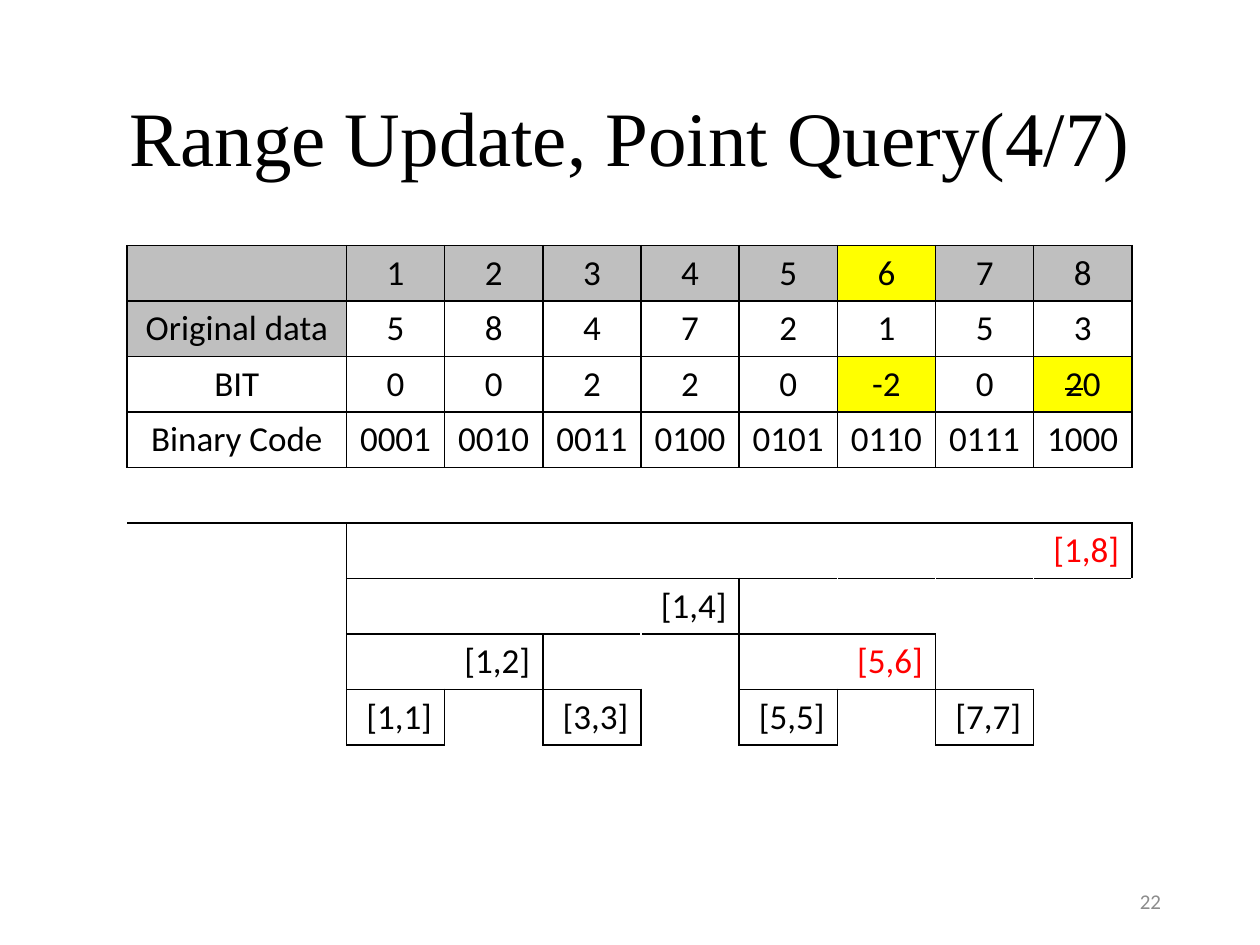
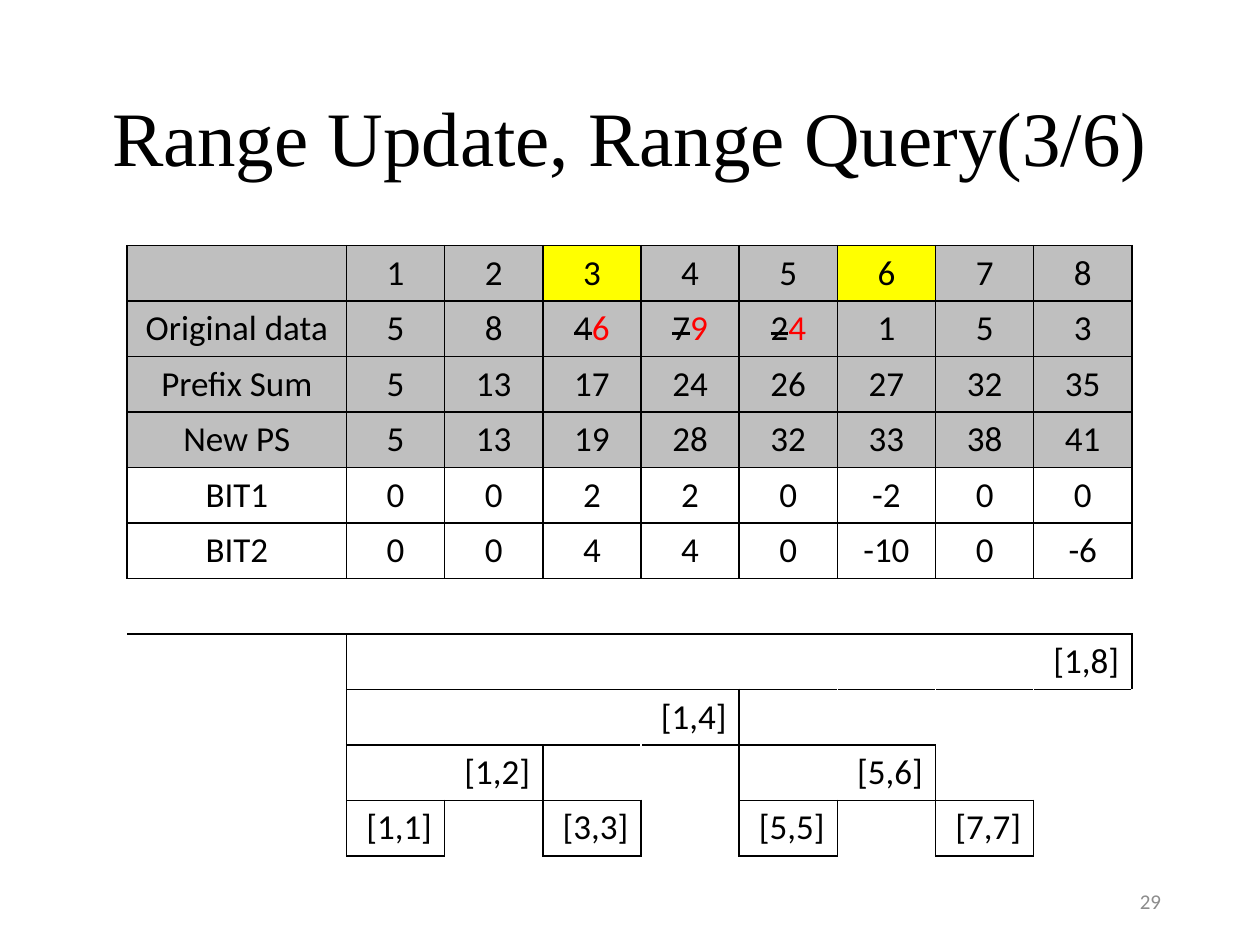
from lxml import etree
from pptx import Presentation
from pptx.dml.color import RGBColor
from pptx.enum.text import MSO_ANCHOR, MSO_AUTO_SIZE, PP_ALIGN
from pptx.oxml.ns import qn
from pptx.util import Pt

MIDDLE = MSO_ANCHOR.MIDDLE
CENTER, RIGHT = PP_ALIGN.CENTER, PP_ALIGN.RIGHT
NO_AUTOFIT = MSO_AUTO_SIZE.NONE

BLACK, WHITE, RED = "000000", "FFFFFF", "FF0000"
GRAY, YELLOW, PAGE_GRAY = "BFBFBF", "FFFF00", "8C8C8C"
TITLE_FONT, BODY_FONT = "Times New Roman", "Calibri"
NO_GRID_STYLE = "{2D5ABB26-0587-4C30-8999-92F81FD0307C}"

# Boxes: left, top, width, height
TITLE_BOX = (49.5, 28.8, 621, 104.4)
PAGE_BOX = (508.5, 500.4, 162, 28.8)
TABLE_POS = (72.7, 140.4)
LABEL_W, COL_W, ROW_H = 125.3, 56.1, 31.7

N = 8  # number of data items
SIDES = {"lnL": (0, -1), "lnR": (0, 1), "lnT": (-1, 0), "lnB": (1, 0)}


def rgb(color):
    return RGBColor.from_string(color)


def place(sp, box):
    sp.left, sp.top, sp.width, sp.height = (Pt(v) for v in box)


def add_run(p, text, size, font=BODY_FONT, color=BLACK, strike=False):
    r = p.add_run()
    r.text = text
    r.font.size = Pt(size)
    r.font.name = font
    r.font.color.rgb = rgb(color)
    if strike:
        r.font._element.set("strike", "sngStrike")


def replaced(old, new, color=BLACK):
    """Runs showing a struck-out value followed by the new one."""
    return [(old, BLACK, True), (new, color, False)]


def add_title(slide, text, box):
    sp = slide.shapes.title
    place(sp, box)
    tf = sp.text_frame
    tf.auto_size = NO_AUTOFIT
    tf.vertical_anchor = MIDDLE
    p = tf.paragraphs[0]
    p.alignment = CENTER
    p.line_spacing = 0.9
    add_run(p, text, 44, TITLE_FONT)


def add_page_number(slide, number, box):
    sp = slide.shapes.add_textbox(*(Pt(v) for v in box))
    tf = sp.text_frame
    tf.word_wrap = True
    tf.vertical_anchor = MIDDLE
    p = tf.paragraphs[0]
    p.alignment = RIGHT
    add_run(p, str(number), 12, color=PAGE_GRAY)


def fill_cell(cell, content, align, fill=None):
    cell.vertical_anchor = MIDDLE
    p = cell.text_frame.paragraphs[0]
    p.alignment = align
    runs = [(content, BLACK, False)] if isinstance(content, str) else content
    for text, color, strike in runs:
        if text:
            add_run(p, text, 20, color=color, strike=strike)
    if fill:
        cell.fill.solid()
        cell.fill.fore_color.rgb = rgb(fill)


def set_border(cell, side, color):
    tcPr = cell._tc.get_or_add_tcPr()
    ln = etree.SubElement(tcPr, qn("a:" + side), w=str(Pt(1)))
    solid = etree.SubElement(ln, qn("a:solidFill"))
    etree.SubElement(solid, qn("a:srgbClr"), val=color)


def draw_borders(table, boxed, tree_top):
    """Boxed cells are black all round; blank tree cells are white elsewhere."""
    for row in range(len(table.rows)):
        for col in range(N + 1):
            for side, (dr, dc) in SIDES.items():
                if (row, col) in boxed or (row + dr, col + dc) in boxed:
                    set_border(table.cell(row, col), side, BLACK)
                elif row >= tree_top and col > 0:
                    set_border(table.cell(row, col), side, WHITE)


def tree_nodes(tree_top):
    """Yield row, first and last item of each tree node, halving the width."""
    width, row = N, tree_top
    while width:
        for first in range(1, N + 1, 2 * width):
            yield row, first, first + width - 1
        width, row = width // 2, row + 1


def add_bit_table(slide, pos, rows, yellow, red_nodes=()):
    """rows: (label, label fill, values fill, values); yellow: (row, col)."""
    tree_top = len(rows) + 2
    nodes = list(tree_nodes(tree_top))
    n_rows = nodes[-1][0] + 1
    frame = slide.shapes.add_table(n_rows, N + 1, Pt(pos[0]), Pt(pos[1]),
                                   Pt(LABEL_W + N * COL_W), Pt(n_rows * ROW_H))
    table = frame.table
    table.first_row = table.horz_banding = False
    table._tbl.tblPr.find(qn("a:tableStyleId")).text = NO_GRID_STYLE
    for i, column in enumerate(table.columns):
        column.width = Pt(COL_W if i else LABEL_W)
    for row in table.rows:
        row.height = Pt(ROW_H)

    # Borders come before fills in the cell properties
    boxed = {(r, c) for r in range(len(rows) + 1) for c in range(N + 1)}
    boxed |= {(r, c) for r, a, b in nodes for c in range(a, b + 1)}
    draw_borders(table, boxed, tree_top)

    # Data rows
    header = ("", GRAY, GRAY, [str(i) for i in range(1, N + 1)])
    for r, (label, label_fill, fill, values) in enumerate([header, *rows]):
        fill_cell(table.cell(r, 0), label, CENTER, label_fill)
        for c, value in enumerate(values, 1):
            fill_cell(table.cell(r, c), value, CENTER,
                      YELLOW if (r, c) in yellow else fill)

    # Tree of ranges
    for r, first, last in nodes:
        cell = table.cell(r, first)
        if last > first:
            cell.merge(table.cell(r, last))
        color = RED if (first, last) in red_nodes else BLACK
        fill_cell(cell, [(f"[{first},{last}]", color, False)], RIGHT)


def add_bit_slide(prs, title, number, rows, yellow, red_nodes=()):
    slide = prs.slides.add_slide(prs.slide_layouts[5])
    add_title(slide, title, TITLE_BOX)
    add_page_number(slide, number, PAGE_BOX)
    add_bit_table(slide, TABLE_POS, rows, yellow, red_nodes)


def main():
    prs = Presentation()
    prs.slide_width, prs.slide_height = Pt(720), Pt(540)

    # Point query
    add_bit_slide(
        prs, "Range Update, Point Query(4/7)", 22,
        rows=[
            ("Original data", GRAY, WHITE, "5 8 4 7 2 1 5 3".split()),
            ("BIT", WHITE, WHITE,
             "0 0 2 2 0 -2 0".split() + [replaced("2", "0")]),
            ("Binary Code", WHITE, WHITE,
             [f"{i:04b}" for i in range(1, N + 1)]),
        ],
        yellow={(0, 6), (2, 6), (2, 8)},
        red_nodes={(1, 8), (5, 6)})

    # Range query
    updated = [replaced(old, new, RED) for old, new in ("46", "79", "24")]
    add_bit_slide(
        prs, "Range Update, Range Query(3/6)", 29,
        rows=[
            ("Original data", GRAY, GRAY, ["5", "8", *updated, "1", "5", "3"]),
            ("Prefix Sum", GRAY, GRAY, "5 13 17 24 26 27 32 35".split()),
            ("New PS", GRAY, GRAY, "5 13 19 28 32 33 38 41".split()),
            ("BIT1", WHITE, WHITE, "0 0 2 2 0 -2 0 0".split()),
            ("BIT2", WHITE, WHITE, "0 0 4 4 0 -10 0 -6".split()),
        ],
        yellow={(0, 3), (0, 6)})

    prs.save("out.pptx")


if __name__ == "__main__":
    main()
